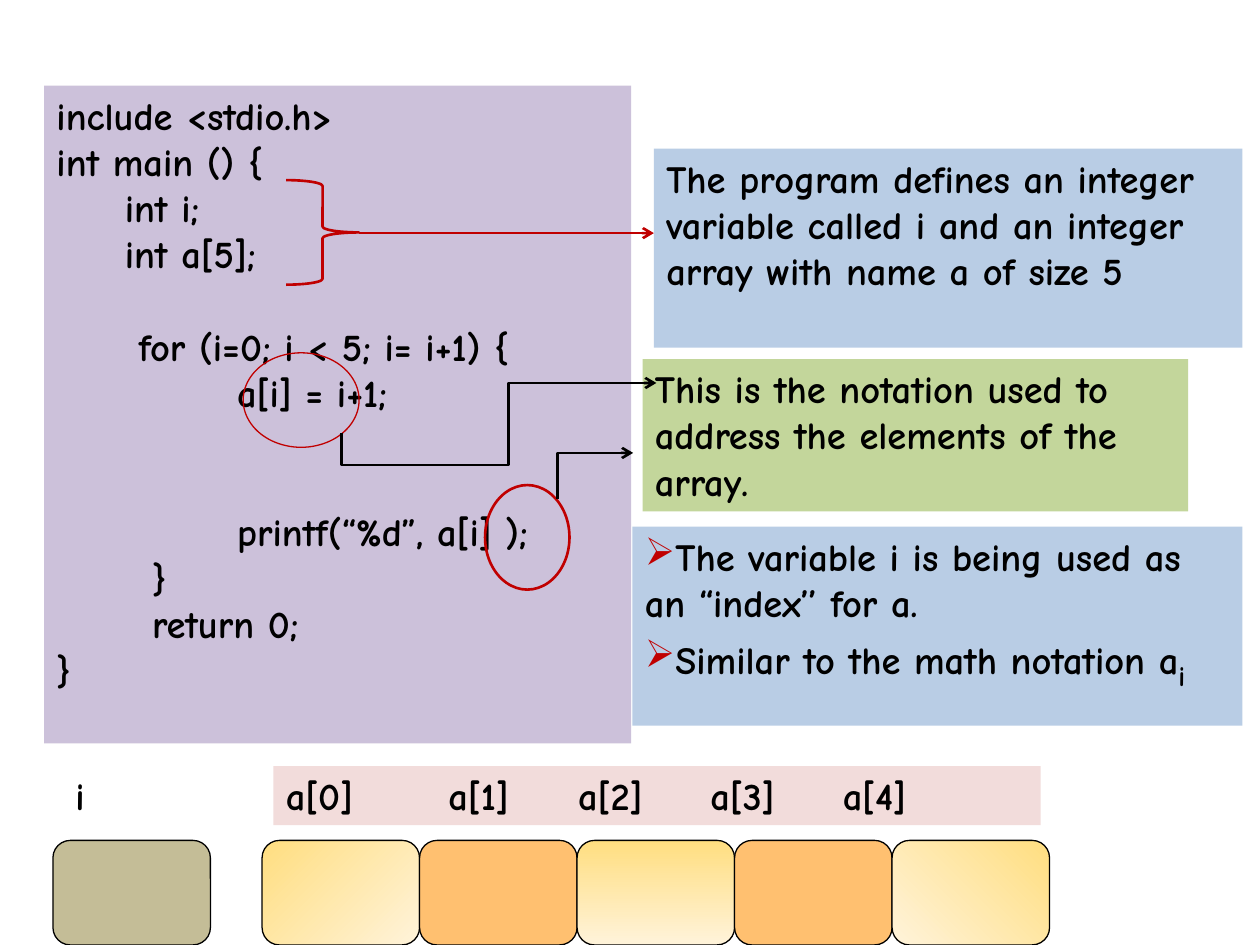
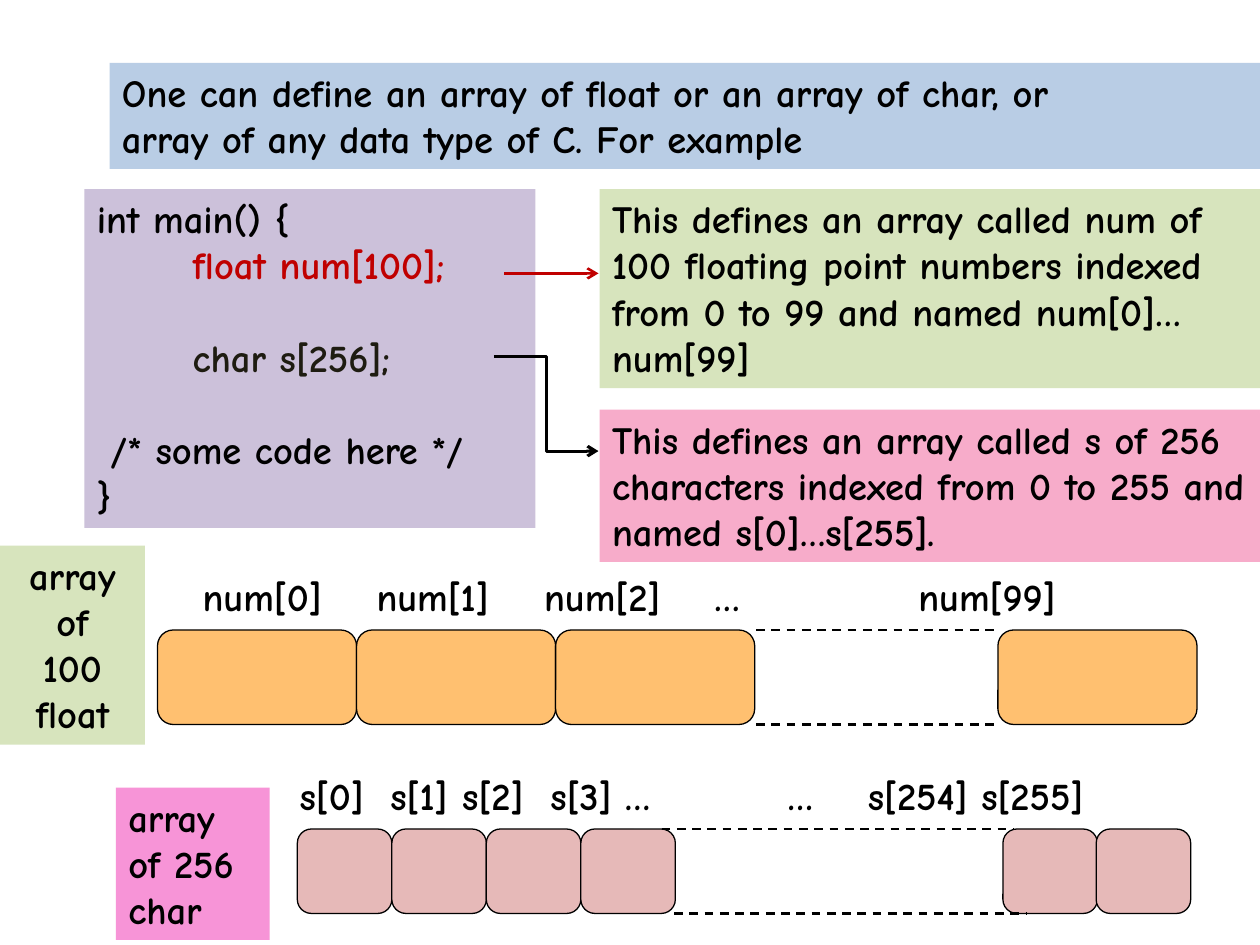
from dataclasses import dataclass
from typing import Any

from lxml import etree
from pptx import Presentation
from pptx.dml.color import RGBColor
from pptx.enum.dml import MSO_LINE
from pptx.enum.shapes import MSO_CONNECTOR, MSO_SHAPE
from pptx.enum.text import MSO_ANCHOR, PP_ALIGN
from pptx.oxml.ns import qn
from pptx.util import Inches, Pt

STRAIGHT = MSO_CONNECTOR.STRAIGHT
ELBOW = MSO_CONNECTOR.ELBOW
ROUNDED = MSO_SHAPE.ROUNDED_RECTANGLE
OVAL = MSO_SHAPE.OVAL
BRACE = MSO_SHAPE.RIGHT_BRACE
DASH = MSO_LINE.DASH
TOP = MSO_ANCHOR.TOP
LEFT = PP_ALIGN.LEFT
CENTER = PP_ALIGN.CENTER
BLANK_LAYOUT = 6


@dataclass(frozen=True)
class Theme:
    font: str = "Comic Neue"
    text_size: float = 22
    subscript_size: float = 28
    line_height: float = 26.4
    ink: str = "000000"
    faded_ink: str = "1E1C11"
    accent: str = "C00000"
    code: str = "CCC1DA"
    note: str = "B9CDE5"
    notation: str = "C3D69B"
    float_note: str = "D7E4BD"
    char_note: str = "F7ACCA"
    char_label: str = "F794D7"
    index_labels: str = "F2DCDB"
    index_cell: str = "C4BD97"
    orange_cell: str = "FFC070"
    char_cell: str = "E6B9B8"
    gradient: tuple[str, str] = ("FFDE80", "FFF3DA")


THEME = Theme()
CODE_TABS = (1.0,)


@dataclass(frozen=True)
class TextLine:
    text: str
    color: str = THEME.ink
    blank_lines_before: int = 0
    bullet: str = ""
    subscript: str = ""
    tabs: tuple[float, ...] = ()


@dataclass(frozen=True)
class Panel:
    left: float
    top: float
    width: float
    height: float
    lines: tuple[TextLine, ...]
    fill: str = ""
    align: Any = LEFT


@dataclass(frozen=True)
class CellRow:
    top: float
    width: float
    height: float
    lefts: tuple[float, ...]
    fills: tuple[str | int, ...]


@dataclass(frozen=True)
class Outline:
    kind: Any
    left: float
    top: float
    width: float
    height: float
    weight: float = 1.5
    adjustments: tuple[float, ...] = ()


@dataclass(frozen=True)
class Link:
    start: tuple[float, float]
    end: tuple[float, float]
    color: str = THEME.ink
    weight: float = 1.5
    dashed: bool = False
    preset: str = ""
    rotation: int = 0
    adjustments: tuple[float, ...] = ()


def rgb(value: str) -> RGBColor:
    return RGBColor.from_string(value)


def apply(target: Any, formats: dict[str, Any]) -> None:
    for name, value in formats.items():
        setattr(target, name, value)


def set_stroke(shape: Any, color: str, weight: float) -> None:
    shape.line.color.rgb = rgb(color)
    shape.line.width = Pt(weight)


def add_span(para: Any, text: str, color: str, size: float) -> Any:
    span = para.add_run()
    span.text = text
    apply(span.font, {"name": THEME.font, "size": Pt(size), "bold": True})
    span.font.color.rgb = rgb(color)
    return span


def write_line(para: Any, line: TextLine, align: Any) -> None:
    properties = para._p.get_or_add_pPr()
    if line.bullet:
        bullet_color = etree.SubElement(properties, qn("a:buClr"))
        etree.SubElement(bullet_color, qn("a:srgbClr"), val=THEME.accent)
        etree.SubElement(properties, qn("a:buChar"), char=line.bullet)
    if line.tabs:
        stops = etree.SubElement(properties, qn("a:tabLst"))
        for position in line.tabs:
            etree.SubElement(stops, qn("a:tab"), pos=str(Inches(position)), algn="l")
    para.alignment = align
    if line.blank_lines_before:
        para.space_before = Pt(line.blank_lines_before * THEME.line_height)
    add_span(para, line.text, line.color, THEME.text_size)
    if line.subscript:
        span = add_span(para, line.subscript, line.color, THEME.subscript_size)
        span._r.get_or_add_rPr().set("baseline", "-25000")


def draw_panel(page: Any, panel: Panel) -> None:
    box = page.shapes.add_textbox(
        Inches(panel.left), Inches(panel.top), Inches(panel.width), Inches(panel.height))
    if panel.fill:
        box.fill.solid()
        box.fill.fore_color.rgb = rgb(panel.fill)
    frame = box.text_frame
    apply(frame, {"word_wrap": True, "vertical_anchor": TOP})
    for number, line in enumerate(panel.lines):
        para = frame.add_paragraph() if number else frame.paragraphs[0]
        write_line(para, line, panel.align)


def draw_cells(page: Any, row: CellRow) -> None:
    for number, left in enumerate(row.lefts):
        cell = page.shapes.add_shape(
            ROUNDED, Inches(left), Inches(row.top), Inches(row.width), Inches(row.height))
        cell.shadow.inherit = False
        set_stroke(cell, THEME.ink, 0.75)
        fill = row.fills[number % len(row.fills)]
        if isinstance(fill, int):
            cell.fill.gradient()
            cell.fill.gradient_angle = 360 - fill
            for stop, color in zip(cell.fill.gradient_stops, THEME.gradient):
                stop.color.rgb = rgb(color)
        else:
            cell.fill.solid()
            cell.fill.fore_color.rgb = rgb(fill)


def draw_outline(page: Any, outline: Outline) -> None:
    mark = page.shapes.add_shape(
        outline.kind, Inches(outline.left), Inches(outline.top),
        Inches(outline.width), Inches(outline.height))
    mark.shadow.inherit = False
    mark.fill.background()
    set_stroke(mark, THEME.accent, outline.weight)
    for number, value in enumerate(outline.adjustments):
        mark.adjustments[number] = value


def draw_link(page: Any, link: Link) -> None:
    ends = [Inches(value) for value in (*link.start, *link.end)]
    connector = page.shapes.add_connector(ELBOW if link.preset else STRAIGHT, *ends)
    set_stroke(connector, link.color, link.weight)
    properties = connector._element.spPr
    if link.dashed:
        connector.line.dash_style = DASH
    else:
        etree.SubElement(connector.line._get_or_add_ln(), qn("a:tailEnd"), type="arrow")
    etree.SubElement(properties, qn("a:effectLst"))
    if link.preset:
        properties.find(qn("a:xfrm")).set("rot", str(link.rotation * 60000))
        geometry = properties.find(qn("a:prstGeom"))
        geometry.set("prst", link.preset)
        guides = geometry.find(qn("a:avLst"))
        for number, value in enumerate(link.adjustments, 1):
            etree.SubElement(guides, qn("a:gd"), name=f"adj{number}",
                             fmla=f"val {round(value * 100000)}")


DRAWERS = {Panel: draw_panel, CellRow: draw_cells, Outline: draw_outline, Link: draw_link}


def lines(*texts: str) -> tuple[TextLine, ...]:
    return tuple(TextLine(text) for text in texts)


def labels(texts: list[str], *tabs: float) -> tuple[TextLine, ...]:
    return (TextLine("\t".join(texts), tabs=tabs),)


def run_of(start: float, pitch: float, count: int) -> tuple[float, ...]:
    return tuple(start + pitch * number for number in range(count))


LOOP_CODE = (
    *lines("include <stdio.h>", "int main () {", "     int i;", "     int a[5];"),
    TextLine("      for (i=0; i < 5; i= i+1) {", blank_lines_before=1),
    TextLine("\t    a[i] = i+1;", tabs=CODE_TABS),
    TextLine("\t    printf(“%d”, a[i] );", blank_lines_before=2, tabs=CODE_TABS),
    *lines("       }", "       return 0;", "}"),
)
TYPES_CODE = (
    TextLine("int main() {"),
    TextLine("       float num[100];", THEME.accent),
    TextLine("       char s[256];", THEME.faded_ink, 1),
    TextLine(" /* some code here */", blank_lines_before=1),
    TextLine("}"),
)
INDEX_NOTES = (
    TextLine("The variable i is being used as an “index’’ for a.", bullet="➢"),
    TextLine("Similar to the math notation a", bullet="➢", subscript="i"),
)

INDEXING_PAGE = (
    Panel(0.35, 0.68, 4.66, 5.22, LOOP_CODE, THEME.code),
    Panel(5.19, 1.18, 4.67, 1.58, lines(
        "The program defines an integer variable called i and an integer array "
        "with name a of size 5"), THEME.note),
    CellRow(6.67, 1.25, 0.83, run_of(2.08, 1.25, 5),
            (45, THEME.orange_cell, 90, THEME.orange_cell, 135)),
    Panel(2.17, 6.08, 6.09, 0.47,
          labels([f"a[{index}]" for index in range(5)], 1.29, 2.32, 3.37, 4.42),
          THEME.index_labels),
    CellRow(6.67, 1.25, 0.83, (0.42,), (THEME.index_cell,)),
    Panel(0.5, 6.08, 0.42, 0.47, lines("i")),
    Outline(OVAL, 1.93, 2.8, 0.92, 0.75, 0.75),
    Panel(5.1, 2.85, 4.33, 1.21, lines(
        "This is the notation used to address the elements of the array."), THEME.notation),
    Link((4.16, 4.49), (3.76, 1.99), preset="bentConnector4", rotation=90,
         adjustments=(-0.63, 0.53)),
    Outline(BRACE, 2.27, 1.43, 0.58, 0.83, adjustments=(0.08, 0.5)),
    Link((2.85, 1.85), (5.19, 1.85), THEME.accent),
    Outline(OVAL, 3.85, 3.85, 0.67, 0.83),
    Link((4.91, 4.08), (4.54, 3.48), preset="bentConnector2", rotation=90),
    Panel(5.02, 4.18, 4.84, 1.58, INDEX_NOTES, THEME.note),
)

TYPES_PAGE = (
    Panel(0.87, 0.5, 9.13, 0.84, lines(
        "One can define an array of float or an array of char, or",
        "array of any data type of C. For example"), THEME.note),
    Panel(0.67, 1.5, 3.58, 2.69, TYPES_CODE, THEME.code),
    Panel(4.76, 1.5, 5.24, 1.58, lines(
        "This defines an array called num of 100 floating point numbers indexed "
        "from 0 to 99 and named num[0]… num[99]"), THEME.float_note),
    CellRow(5, 1.58, 0.75, (*run_of(1.25, 1.58, 3), 7.92), (THEME.orange_cell,)),
    Link((6, 5), (7.92, 5), weight=1.25, dashed=True),
    Link((6, 5.75), (7.92, 5.75), weight=1.25, dashed=True),
    Panel(1.51, 4.5, 7.99, 0.47,
          labels(["num[0]", "num[1]", "num[2]", "…", "num[99]"], 1.38, 2.71, 4.06, 5.68)),
    Link((4, 2.17), (4.75, 2.17), THEME.accent),
    Panel(4.76, 3.25, 5.24, 1.21, lines(
        "This defines an array called s of 256 characters indexed from 0 to 255 "
        "and named s[0]…s[255]."), THEME.char_note),
    Link((3.92, 2.83), (4.75, 3.58), weight=1.75, preset="bentConnector3",
         adjustments=(0.5,)),
    CellRow(6.58, 0.75, 0.67, (*run_of(2.36, 0.75, 4), *run_of(7.96, 0.74, 2)),
            (THEME.char_cell,)),
    Link((5.25, 6.58), (8.05, 6.58), weight=1.25, dashed=True),
    Link((5.35, 7.25), (8.14, 7.25), weight=1.25, dashed=True),
    Panel(2.28, 6.08, 7.72, 0.47,
          labels(["s[0]", "s[1]", "s[2]", "s[3]", "…", "…", "s[254]", "s[255]"],
                 0.72, 1.29, 1.99, 2.58, 3.87, 4.51, 5.41)),
    Panel(0, 4.33, 1.15, 1.58, lines("array", "of", "100", "float"),
          THEME.float_note, CENTER),
    Panel(0.92, 6.25, 1.22, 1.21, lines("array", "of 256", "char"), THEME.char_label),
)


def main() -> None:
    deck = Presentation()
    apply(deck, {"slide_width": Inches(10), "slide_height": Inches(7.5)})
    for items in (INDEXING_PAGE, TYPES_PAGE):
        page = deck.slides.add_slide(deck.slide_layouts[BLANK_LAYOUT])
        for item in items:
            DRAWERS[type(item)](page, item)
    deck.save("out.pptx")


if __name__ == "__main__":
    main()
